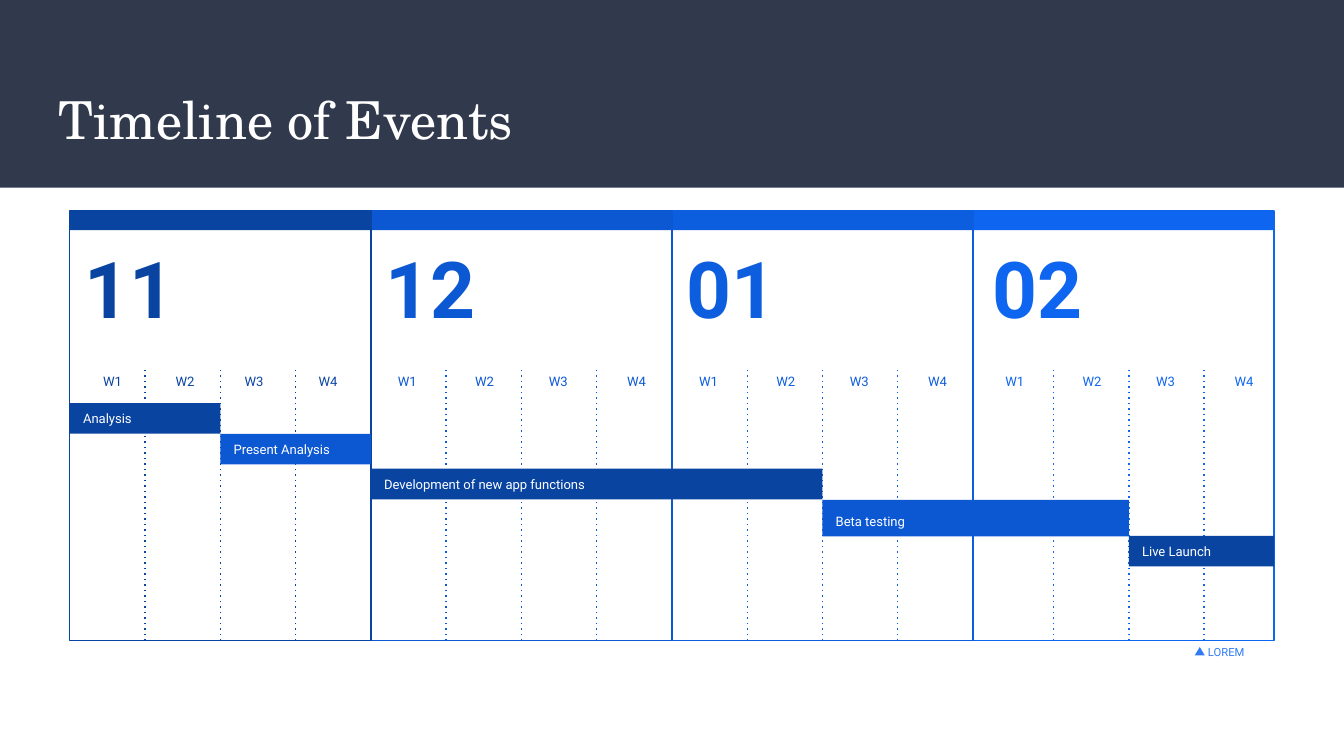
from lxml.etree import SubElement
from pptx import Presentation
from pptx.dml.color import RGBColor
from pptx.enum.shapes import MSO_CONNECTOR, MSO_SHAPE
from pptx.enum.text import MSO_ANCHOR, MSO_AUTO_SIZE, PP_ALIGN
from pptx.oxml.ns import qn
from pptx.util import Cm, Pt

BODY_FONT, TITLE_FONT = "Roboto", "TeX Gyre Schola"
NAVY, BLUE, SKY, WHITE, SLATE = "0944A1", "0C58D3", "307BF3", "FFFFFF", "31394D"

# All lengths are in centimetres.
LEFT, TOP, HEIGHT = 1.32, 3.99, 8.12
MONTH, WEEK = 5.69, 5.69 / 4
WEEKS_TOP = 6.96
LAST_MONTH_SHIFT = 0.1

FIRST_CENTRES = (0.81, 2.18, 3.48, 4.88)
CENTRES = (0.69, 2.15, 3.54, 5.02)
MONTHS = [
    ("11", NAVY, FIRST_CENTRES),
    ("12", BLUE, CENTRES),
    ("01", "0D5DDF", CENTRES),
    ("02", "0E65F0", CENTRES),
]

# Text, first week, end week, top, height, colour, anchor
TASKS = [
    ("Analysis", 0, 2, 7.62, 0.58, NAVY, MSO_ANCHOR.MIDDLE),
    ("Development of new app functions", 4, 10, 8.86, 0.58, NAVY, MSO_ANCHOR.MIDDLE),
    ("Live Launch", 14, 16, 10.13, 0.58, NAVY, MSO_ANCHOR.MIDDLE),
    ("Present Analysis", 2, 4, 8.2, 0.58, BLUE, MSO_ANCHOR.MIDDLE),
    ("Beta testing", 10, 14, 9.45, 0.69, BLUE, MSO_ANCHOR.TOP),
]


def rgb(value):
    return RGBColor.from_string(value)


def week_x(week):
    """Left edge of a week; inside the last month the grid is shifted."""
    return LEFT + week * WEEK + (LAST_MONTH_SHIFT if 12 < week < 16 else 0)


def set_text(sp, text, size, color, font=BODY_FONT, bold=False,
             align=PP_ALIGN.LEFT, anchor=MSO_ANCHOR.MIDDLE, wrap=False):
    tf = sp.text_frame
    tf.text = text
    tf.word_wrap = wrap
    tf.auto_size = MSO_AUTO_SIZE.NONE
    tf.vertical_anchor = anchor
    tf.margin_left = tf.margin_right = tf.margin_top = tf.margin_bottom = Cm(0.25)
    p = tf.paragraphs[0]
    p.alignment = align
    f = p.runs[0].font
    f.name, f.size, f.bold = font, Pt(size), bold
    f.color.rgb = rgb(color)


def add_shape(s, x, y, w, h, fill=None, line=None, kind=MSO_SHAPE.RECTANGLE):
    sp = s.shapes.add_shape(kind, Cm(x), Cm(y), Cm(w), Cm(h))
    sp.shadow.inherit = False
    if fill:
        sp.fill.solid()
        sp.fill.fore_color.rgb = rgb(fill)
    else:
        sp.fill.background()
    if line:
        sp.line.color.rgb = rgb(line)
        sp.line.width = Pt(0.75)
    else:
        sp.line.fill.background()
    return sp


def add_label(s, text, x, y, w, h, size, color, bold=False, align=PP_ALIGN.CENTER):
    sp = s.shapes.add_textbox(Cm(x), Cm(y), Cm(w), Cm(h))
    set_text(sp, text, size, color, bold=bold, align=align)


def add_dotted_line(s, x, color):
    cn = s.shapes.add_connector(
        MSO_CONNECTOR.STRAIGHT, Cm(x), Cm(TOP + HEIGHT), Cm(x), Cm(WEEKS_TOP))
    cn.line.color.rgb = rgb(color)
    cn.line.width = Pt(0.75)
    sp_pr = cn._element.spPr
    SubElement(sp_pr.find(qn("a:ln")), qn("a:prstDash")).set("val", "dot")
    SubElement(sp_pr, qn("a:effectLst"))


def add_month(s, index):
    number, color, centres = MONTHS[index]
    x = LEFT + index * MONTH
    shift = LAST_MONTH_SHIFT if index == 3 else 0
    add_shape(s, x, TOP, MONTH, HEIGHT, line=color)
    add_shape(s, x, TOP, MONTH, 0.36, fill=color)
    add_label(s, number, x + shift, 4.32, 2.24, 2.21, 42, color, bold=True)
    for week, centre in enumerate(centres, 1):
        add_label(s, f"W{week}", x + shift + centre - 0.5, WEEKS_TOP, 1, 0.51, 7, color)
    for week in range(1, 4):
        add_dotted_line(s, week_x(4 * index + week), color)


def add_task(s, text, start, end, top, height, color, anchor):
    x = week_x(start)
    sp = add_shape(s, x, top, week_x(end) - x, height, fill=color)
    set_text(sp, text, 7, WHITE, anchor=anchor, wrap=True)


def add_header(s):
    band = add_shape(s, 0, 0, 25.4, 3.55, fill=SLATE)
    s.shapes._spTree.insert(2, band._element)  # behind the title
    title = s.shapes.title
    title.left, title.top, title.width, title.height = Cm(0.86), Cm(1.4), Cm(23.67), Cm(1.73)
    set_text(title, "Timeline of Events", 28, WHITE, TITLE_FONT,
             anchor=MSO_ANCHOR.TOP, wrap=True)


def add_marker(s):
    add_label(s, "LOREM", 22.58, 12.19, 1.47, 0.28, 6, SKY, align=PP_ALIGN.LEFT)
    add_shape(s, 22.58, 12.23, 0.19, 0.16, fill=SKY, kind=MSO_SHAPE.ISOSCELES_TRIANGLE)


def main():
    prs = Presentation()
    prs.slide_width, prs.slide_height = Cm(25.4), Cm(14.29)
    s = prs.slides.add_slide(prs.slide_layouts[5])
    add_header(s)
    for index in reversed(range(len(MONTHS))):
        add_month(s, index)
    for task in TASKS:
        add_task(s, *task)
    add_marker(s)
    prs.save("out.pptx")


if __name__ == "__main__":
    main()
